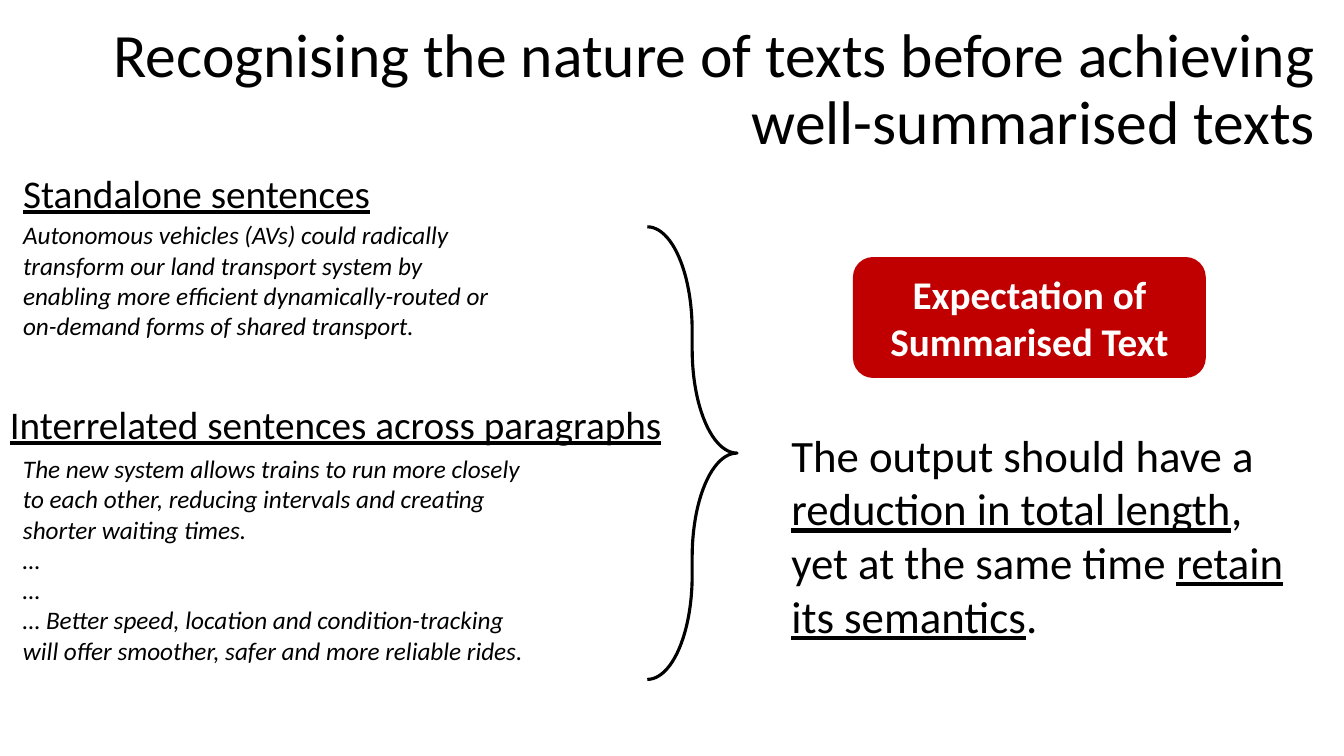
from pptx import Presentation
from pptx.dml.color import RGBColor
from pptx.enum.shapes import MSO_SHAPE
from pptx.enum.text import MSO_ANCHOR, MSO_AUTO_SIZE, PP_ALIGN
from pptx.util import Emu, Pt

EMU_PER_PX = 9144  # 100 px to the inch
BLACK = RGBColor(0x00, 0x00, 0x00)
WHITE = RGBColor(0xFF, 0xFF, 0xFF)
RED = RGBColor(0xC0, 0x00, 0x00)

STANDALONE_EXAMPLE = [
    "Autonomous vehicles (AVs) could radically transform our land transport system by "
    "enabling more efficient dynamically-routed or on-demand forms of shared transport."
]
INTERRELATED_EXAMPLE = [
    "The new system allows trains to run more closely to each other, "
    "reducing intervals and creating shorter waiting times.",
    "…",
    "…",
    "… Better speed, location and condition-tracking "
    "will offer smoother, safer and more reliable rides.",
]
EXPECTED_OUTPUT = [
    [
        ("The output should have a ", False),
        ("reduction in total length", True),
        (", yet at the same time ", False),
        ("retain its semantics", True),
        (".", False),
    ]
]


def px(length):
    return Emu(length * EMU_PER_PX)


def write_text(frame, paragraphs, size, color=BLACK, font="Calibri", bold=False,
               italic=False, underline=False, align=PP_ALIGN.LEFT, line_spacing=None):
    """Fill a frame; a paragraph is a string or a list of (text, underlined) runs."""
    for index, content in enumerate(paragraphs):
        paragraph = frame.add_paragraph() if index else frame.paragraphs[0]
        paragraph.alignment = align
        paragraph.line_spacing = line_spacing
        runs = [(content, underline)] if isinstance(content, str) else content
        for text, underlined in runs:
            run = paragraph.add_run()
            run.text = text
            run.font.name = font
            run.font.size = Pt(size)
            run.font.color.rgb = color
            run.font.bold = bold
            run.font.italic = italic
            run.font.underline = underlined


class SlideBuilder:
    def __init__(self, presentation):
        title_only = presentation.slide_layouts[5]
        self.slide = presentation.slides.add_slide(title_only)

    def title(self, text, left, top, width, height):
        shape = self.slide.shapes.title
        shape.left, shape.top = px(left), px(top)
        shape.width, shape.height = px(width), px(height)
        frame = shape.text_frame
        frame.auto_size = MSO_AUTO_SIZE.NONE
        frame.vertical_anchor = MSO_ANCHOR.MIDDLE
        write_text(frame, [text], 44, align=PP_ALIGN.RIGHT, line_spacing=0.9)

    def text(self, paragraphs, left, top, width, height, wrap=True, **text_format):
        box = self.slide.shapes.add_textbox(px(left), px(top), px(width), px(height))
        frame = box.text_frame
        frame.word_wrap = wrap
        frame.auto_size = MSO_AUTO_SIZE.SHAPE_TO_FIT_TEXT
        write_text(frame, paragraphs, **text_format)

    def heading(self, text, left, top, width, height, wrap=True):
        self.text([text], left, top, width, height, wrap, size=28, underline=True)

    def example(self, paragraphs, left, top, width, height):
        self.text(paragraphs, left, top, width, height, size=18, italic=True)

    def shape(self, kind, left, top, width, height):
        shape = self.slide.shapes.add_shape(
            kind, px(left), px(top), px(width), px(height))
        shape.shadow.inherit = False
        return shape

    def label(self, text, left, top, width, height):
        label = self.shape(MSO_SHAPE.ROUNDED_RECTANGLE, left, top, width, height)
        label.fill.solid()
        label.fill.fore_color.rgb = RED
        label.line.fill.background()
        label.text_frame.word_wrap = True
        label.text_frame.vertical_anchor = MSO_ANCHOR.MIDDLE
        write_text(label.text_frame, [text], 28, WHITE, bold=True, align=PP_ALIGN.CENTER)

    def brace(self, left, top, width, height):
        brace = self.shape(MSO_SHAPE.RIGHT_BRACE, left, top, width, height)
        brace.adjustments[0] = 1.16
        brace.fill.background()
        brace.line.color.rgb = BLACK
        brace.line.width = Pt(2.25)


def main():
    presentation = Presentation()
    presentation.slide_width, presentation.slide_height = px(1333), px(750)

    builder = SlideBuilder(presentation)
    builder.title("Recognising the nature of texts before achieving well-summarised texts",
                  19, 18, 1296, 145)
    builder.example(STANDALONE_EXAMPLE, 13, 213, 508, 131)
    builder.example(INTERRELATED_EXAMPLE, 13, 445, 526, 222)
    builder.text(EXPECTED_OUTPUT, 775, 419, 526, 226, size=32)
    builder.label("Expectation of Summarised Text", 846, 255, 350, 120)
    builder.heading("Standalone sentences", 13, 163, 368, 57, wrap=False)
    builder.heading("Interrelated sentences across paragraphs", 0, 392, 674, 57)
    builder.brace(642, 225, 89, 449)

    presentation.save("out.pptx")


if __name__ == "__main__":
    main()
